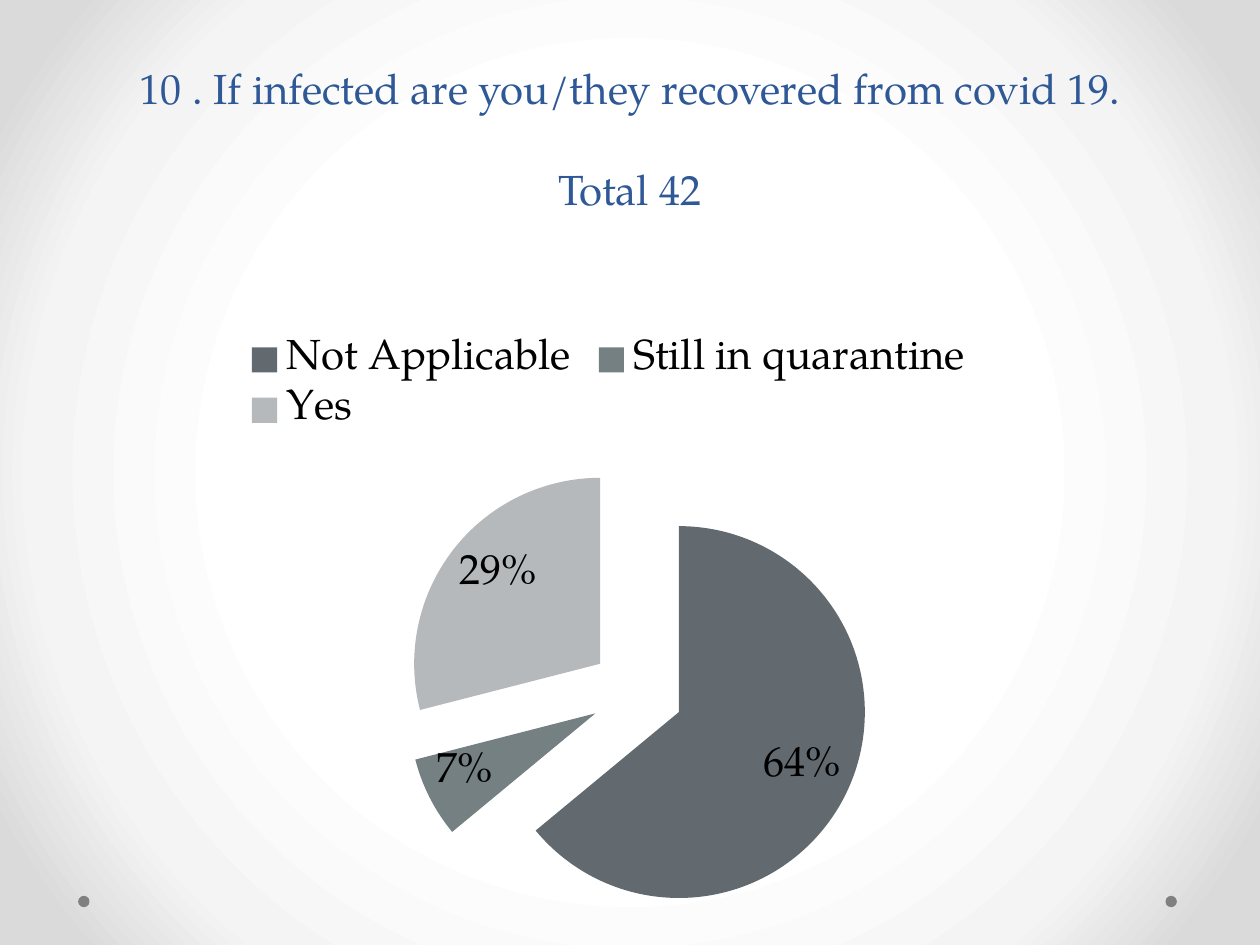
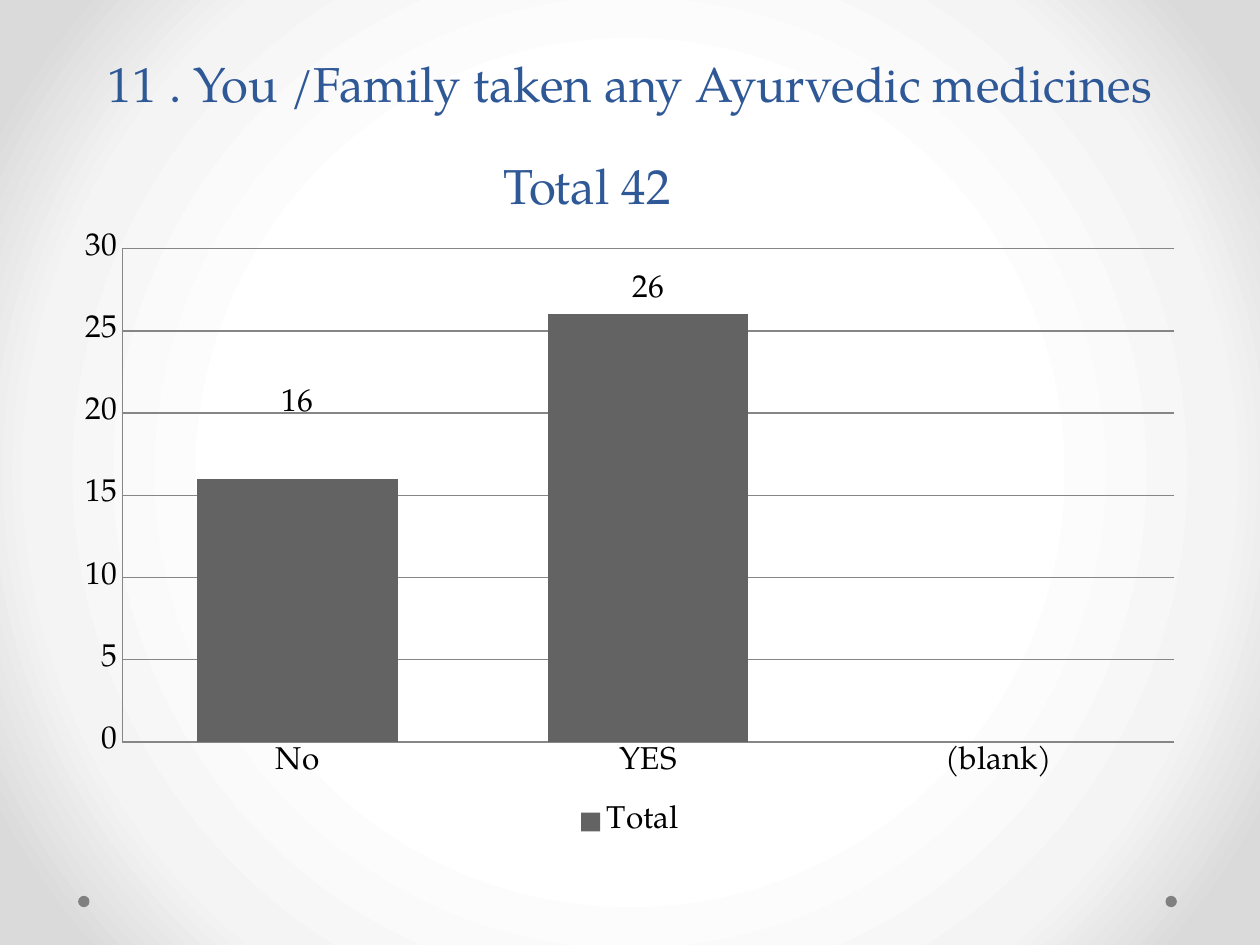
"""Build two survey result slides, a pie and a column chart."""
from lxml.etree import SubElement
from pptx import Presentation
from pptx.chart.data import CategoryChartData
from pptx.dml.color import RGBColor
from pptx.enum.chart import XL_CHART_TYPE, XL_LABEL_POSITION, XL_LEGEND_POSITION, XL_TICK_MARK
from pptx.enum.shapes import MSO_SHAPE
from pptx.enum.text import MSO_ANCHOR, PP_ALIGN
from pptx.oxml import parse_xml
from pptx.oxml.ns import nsdecls, qn
from pptx.util import Inches, Pt

FONT = "TeX Gyre Pagella"
BLUE, BLACK, GREY, LINE = "2F5897", "000000", "808080", "868686"
GLOW = [(50, "FFFFFF"), (76, "F4F4F4"), (92, "DADADA")]
WIDE, HIGH = 10, 7.5
EDGE, HEAD, BODY = WIDE * 0.05, 1.75, HIGH * 0.66
DOT, DOTS, DOTY = 0.09, (9.25, 0.62), 7.11

PIE = {
    "title": "10 . If infected are you/they recovered from covid 19.\vTotal 42",
    "size": 24, "at": (0.33, HIGH - BODY), "text": 24,
    "kind": XL_CHART_TYPE.PIE, "legend": XL_LEGEND_POSITION.TOP,
    "cats": ["Not Applicable", "Still in quarantine", "Yes"],
    "name": "Series 1", "vals": [64, 7, 29],
    "fills": ["626A6F", "758083", "B5B9BC"], "burst": 25,
    "plot": {"x": 0.32, "y": 0.22, "w": 0.41, "h": 0.75},
}
BARS = {
    "title": "11 . You /Family taken any Ayurvedic medicines\vTotal 42\t",
    "size": 28, "at": (EDGE, HEAD), "text": 18,
    "kind": XL_CHART_TYPE.COLUMN_STACKED, "legend": XL_LEGEND_POSITION.BOTTOM,
    "cats": ["No", "YES", "(blank)"],
    "name": "Total", "vals": [16, 26, None],
    "fill": "636363", "shifts": [{"x": 0, "y": -0.33}, {"x": 0, "y": -0.38}],
}


def tint(code):
    """Return a colour from its hex string."""
    return RGBColor.from_string(code)


def style(font, size, code):
    """Set face, size and colour of a font."""
    font.name, font.size = FONT, Pt(size)
    font.color.rgb = tint(code)


def layout(places, modes=""):
    """Return a manual chart layout."""
    parts = "".join(f'<c:{key} val="{val}"/>' for key, val in places.items())
    return parse_xml(
        f'<c:layout {nsdecls("c")}><c:manualLayout>{modes}{parts}'
        '</c:manualLayout></c:layout>')


def frame(slide):
    """Paint the round glow and the two dots."""
    fill = slide.background.fill
    fill.gradient()
    grad = slide.element.find(".//" + qn("a:gradFill"))
    for part in list(grad):
        grad.remove(part)
    stops = SubElement(grad, qn("a:gsLst"))
    for share, code in GLOW:
        stop = SubElement(stops, qn("a:gs"), pos=str(share * 1000))
        SubElement(stop, qn("a:srgbClr"), val=code)
    ring = SubElement(grad, qn("a:path"), path="circle")
    SubElement(ring, qn("a:fillToRect"), {side: "50000" for side in "ltrb"})
    for left in DOTS:
        dot = slide.shapes.add_shape(
            MSO_SHAPE.OVAL, Inches(left), Inches(DOTY), Inches(DOT), Inches(DOT))
        dot.shadow.inherit = False
        dot.fill.solid()
        dot.fill.fore_color.rgb = tint(GREY)
        dot.line.fill.background()


def head(slide, text, size):
    """Write the centred title with tab stops an inch apart."""
    box = slide.shapes.add_textbox(
        Inches(EDGE), 0, Inches(WIDE - 2 * EDGE), Inches(HEAD)).text_frame
    box.word_wrap = True
    box.vertical_anchor = MSO_ANCHOR.BOTTOM
    line = box.paragraphs[0]
    line.text = text
    line.alignment = PP_ALIGN.CENTER
    line.line_spacing = Pt(58)
    line._p.find(qn("a:pPr")).set("defTabSz", str(Inches(1)))
    for run in line.runs:
        style(run.font, size, BLUE)


def graph(slide, page):
    """Add the chart and what both kinds share."""
    data = CategoryChartData()
    data.categories = page["cats"]
    data.add_series(page["name"], page["vals"])
    left, top = page["at"]
    chart = slide.shapes.add_chart(
        page["kind"], Inches(left), Inches(top),
        Inches(WIDE - 2 * EDGE), Inches(BODY), data).chart
    chart.has_title = False
    chart.has_legend = True
    chart.legend.position = page["legend"]
    chart.legend.include_in_layout = False
    style(chart.font, page["text"], BLACK)
    return chart


def slices(chart, page):
    """Colour, place and pull apart the pie."""
    row = chart.plots[0].series[0]
    for spot, code in enumerate(page["fills"]):
        fill = row.points[spot].format.fill
        fill.solid()
        fill.fore_color.rgb = tint(code)
    pull = parse_xml(f'<c:explosion {nsdecls("c")} val="{page["burst"]}"/>')
    row._element.find(qn("c:dPt")).addprevious(pull)
    tags = row.data_labels
    tags.show_value, tags.show_percentage = False, True
    tags.position = XL_LABEL_POSITION.INSIDE_END
    area = chart._chartSpace.find(".//" + qn("c:plotArea"))
    for old in area.findall(qn("c:layout")):
        area.remove(old)
    modes = ('<c:layoutTarget val="inner"/>'
             '<c:xMode val="edge"/><c:yMode val="edge"/>')
    area.insert(0, layout(page["plot"], modes))


def columns(chart, page):
    """Style the columns, their axes and labels."""
    plot = chart.plots[0]
    plot.gap_width, plot.overlap = 75, 100
    plot.vary_by_categories = False
    row = plot.series[0]
    row.format.fill.solid()
    row.format.fill.fore_color.rgb = tint(page["fill"])
    row.data_labels.show_value = True
    for spot in range(len(page["shifts"])):
        style(row.points[spot].data_label.font, page["text"], BLACK)
    tags = row._element.findall(".//" + qn("c:dLbl"))
    for tag, shift in zip(tags, page["shifts"]):
        tag.insert(1, layout(shift))
    for lead in row._element.findall(".//" + qn("c:showLeaderLines")):
        lead.set("val", "0")
    rule = chart.value_axis
    rule.has_major_gridlines = True
    for axis in (rule, chart.category_axis):
        axis.major_tick_mark = axis.minor_tick_mark = XL_TICK_MARK.NONE
    for part in (rule, chart.category_axis, rule.major_gridlines):
        part.format.line.color.rgb = tint(LINE)
        part.format.line.width = Pt(0.75)


deck = Presentation()
deck.slide_width, deck.slide_height = Inches(WIDE), Inches(HIGH)
for page, finish in ((PIE, slices), (BARS, columns)):
    slide = deck.slides.add_slide(deck.slide_layouts[6])
    frame(slide)
    head(slide, page["title"], page["size"])
    finish(graph(slide, page), page)
deck.save("out.pptx")
